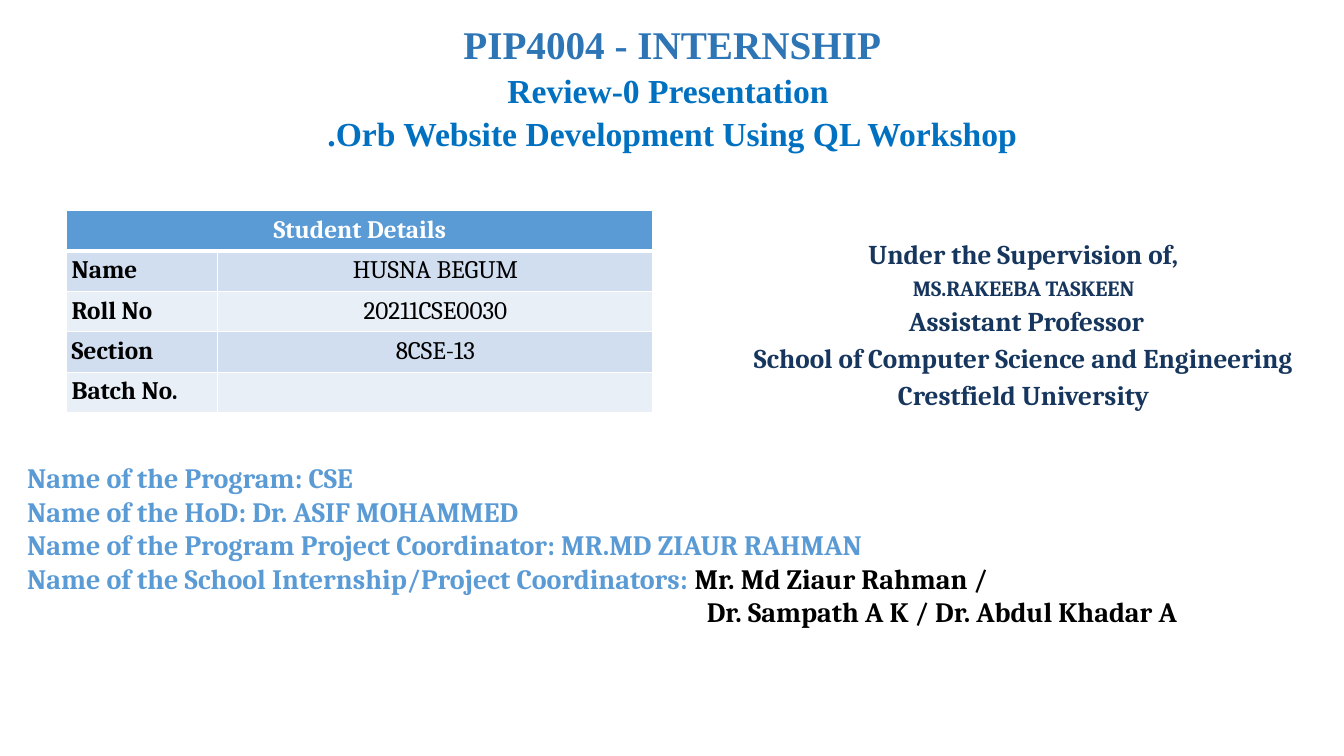
"""Builds the internship review title slide."""
from lxml.etree import SubElement
from pptx import Presentation
from pptx.dml.color import RGBColor
from pptx.enum.text import PP_ALIGN as Align
from pptx.oxml.ns import qn
from pptx.util import Pt

INSET = 3.6


def color(value):
    return RGBColor.from_string(value)


class SlideBuilder:
    def __init__(self, page, font):
        self.page = page
        self.font = font

    def style(self, font, size, shade, bold=True, name=None):
        font.name = name or self.font
        font.size = Pt(size)
        font.bold = bold
        font.color.rgb = color(shade)

    def inset(self, holder):
        holder.margin_left = holder.margin_right = Pt(INSET)
        holder.margin_top = holder.margin_bottom = Pt(INSET)

    def text(self, area, lines, align=Align.LEFT, gap=0, name=None):
        frame = self.page.shapes.add_textbox(*map(Pt, area)).text_frame
        frame.word_wrap = True
        self.inset(frame)
        for index, (words, size, shade) in enumerate(lines):
            para = frame.add_paragraph() if index else frame.paragraphs[0]
            para.text = words
            para.alignment = align
            para.space_before = Pt(gap if index else 0)
            self.style(para.font, size, shade, name=name)
        return frame

    def border(self, cell, sides):
        props = cell._tc.get_or_add_tcPr()
        for position, (side, width) in enumerate(sides.items()):
            line = props.makeelement(qn(f"a:ln{side}"), {"w": str(Pt(width))})
            fill = SubElement(line, qn("a:solidFill"))
            SubElement(fill, qn("a:srgbClr"), val="FFFFFF")
            props.insert(position, line)

    def cell(self, cell, words, fill, shade, bold, align, sides):
        cell.fill.solid()
        cell.fill.fore_color.rgb = color(fill)
        self.inset(cell)
        self.border(cell, sides)
        para = cell.text_frame.paragraphs[0]
        para.text = words
        para.alignment = align
        self.style(para.font, 18, shade, bold)

    def table(self, area, widths, heading, rows):
        count = len(rows) + 1
        table = self.page.shapes.add_table(count, len(widths), *map(Pt, area)).table
        for column, width in zip(table.columns, widths):
            column.width = Pt(width)
        for row in table.rows:
            row.height = Pt(area[3] / count)
        table.cell(0, 0).merge(table.cell(0, 1))
        thin = dict(L=1, R=1, T=1, B=1)
        thick = dict(thin, B=3)
        for column in range(len(widths)):
            self.cell(table.cell(0, column), "" if column else heading,
                      "5B9BD5", "FFFFFF", True, Align.CENTER, thick)
        for index, row in enumerate(rows, 1):
            fill = "D0DEEF" if index % 2 else "E9EFF7"
            sides = dict(thin, T=3) if index == 1 else thin
            for column, words in enumerate(row):
                align = Align.CENTER if column else Align.LEFT
                self.cell(table.cell(index, column), words, fill, "000000",
                          not column, align, sides)


def main():
    deck = Presentation()
    deck.slide_width, deck.slide_height = Pt(960), Pt(540)
    page = deck.slides.add_slide(deck.slide_layouts[6])
    builder = SlideBuilder(page, "Cambria")

    navy, blue, black = "17365D", "5B9BD5", "000000"
    builder.text((517.7, 166.3, 427, 159), [
        ("Under the Supervision of,", 19.4, navy),
        ("MS.RAKEEBA TASKEEN", 15.5, navy),
        (" Assistant Professor", 19.4, navy),
        ("School of Computer Science and Engineering", 19.4, navy),
        ("Crestfield University", 19.4, navy),
    ], Align.CENTER, gap=3)

    program = builder.text((15.8, 325.4, 940, 152.6), [
        ("Name of the Program: CSE", 20, blue),
        ("Name of the HoD: Dr. ASIF MOHAMMED", 20, blue),
        ("Name of the Program Project Coordinator: MR.MD ZIAUR RAHMAN", 20, blue),
        ("Name of the School Internship/Project Coordinators: ", 20, blue),
        ("Dr. Sampath A K / Dr. Abdul Khadar A", 20, black),
    ])
    coordinators, others = program.paragraphs[3:]
    span = coordinators.add_run()
    span.text = "Mr. Md Ziaur Rahman /"
    span.font.color.rgb = color(black)
    others._p.get_or_add_pPr().set("marL", str(Pt(485.5)))

    builder.text((69.8, 11, 820.8, 119.5), [
        ("PIP4004 - INTERNSHIP", 28, "2E75B6"),
        ("Review-0 Presentation ", 24, "0070C0"),
        (".Orb Website Development Using QL Workshop", 24, "0070C0"),
    ], Align.CENTER, gap=2, name="Times New Roman")

    builder.table((47.5, 150.5, 419, 144), (108, 311), "Student Details", [
        ("Name", "HUSNA BEGUM"),
        ("Roll No", "20211CSE0030"),
        ("Section", "8CSE-13"),
        ("Batch No.", ""),
    ])
    deck.save("out.pptx")


if __name__ == "__main__":
    main()
